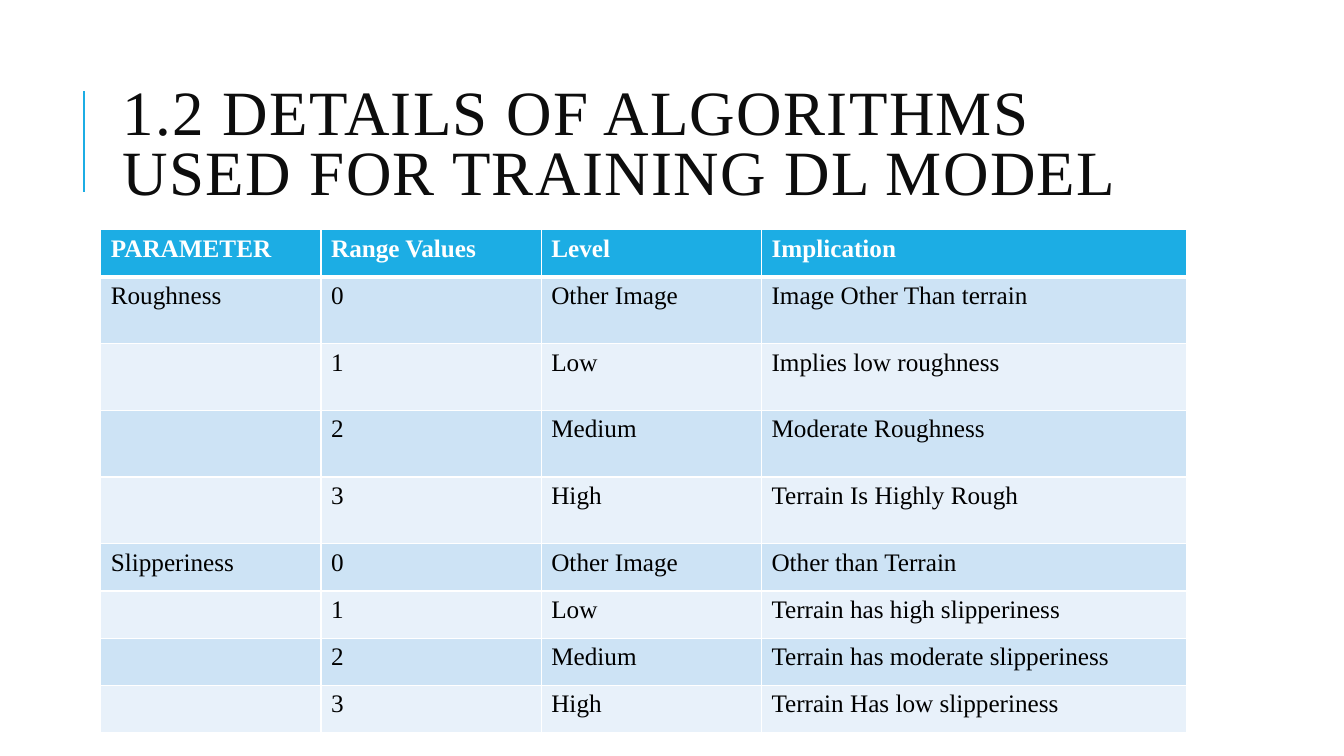
from dataclasses import dataclass

from lxml import etree
from pptx import Presentation
from pptx.dml.color import RGBColor
from pptx.enum.shapes import MSO_CONNECTOR
from pptx.enum.text import MSO_ANCHOR, MSO_AUTO_SIZE, PP_ALIGN
from pptx.oxml.ns import qn
from pptx.slide import Slide
from pptx.table import _Cell
from pptx.text.text import _Paragraph
from pptx.util import Cm, Pt

STRAIGHT = MSO_CONNECTOR.STRAIGHT
MIDDLE = MSO_ANCHOR.MIDDLE
NO_AUTOFIT = MSO_AUTO_SIZE.NONE
LEFT = PP_ALIGN.LEFT
TITLE_ONLY_LAYOUT = 5


@dataclass(frozen=True)
class Theme:
    font: str = "Times New Roman"
    accent: str = "1CADE4"
    band_dark: str = "CDE3F5"
    band_light: str = "E8F1FA"
    title_ink: str = "0D0D0D"
    body_ink: str = "000000"
    white: str = "FFFFFF"
    title_size: float = 45
    table_size: float = 18
    title_tracking: float = 1
    accent_width: float = 1.5
    grid_width: float = 1
    header_rule_width: float = 3


@dataclass(frozen=True)
class Level:
    name: str
    implication: str


@dataclass(frozen=True)
class Parameter:
    name: str
    row_height: float
    levels: tuple[Level, ...]


THEME = Theme()
TITLE = "1.2 DETAILS OF ALGORITHMS USED FOR TRAINING DL MODEL"
HEADINGS = ("PARAMETER", "Range Values", "Level", "Implication")
COLUMN_WIDTHS = (5.55, 5.55, 5.55, 10.72)
HEADER_HEIGHT = 1.19
PARAMETERS = (
    Parameter("Roughness", 1.68, (
        Level("Other Image", "Image Other Than terrain"),
        Level("Low", "Implies low roughness"),
        Level("Medium", "Moderate Roughness"),
        Level("High", "Terrain Is Highly Rough"),
    )),
    Parameter("Slipperiness", 1.19, (
        Level("Other Image", "Other than Terrain"),
        Level("Low", "Terrain has high slipperiness"),
        Level("Medium", "Terrain has moderate slipperiness"),
        Level("High", "Terrain Has low slipperiness"),
    )),
)


def style_paragraph(paragraph: _Paragraph, size: float, color: str, bold: bool = False) -> None:
    font = paragraph.font
    font.name = THEME.font
    font.size = Pt(size)
    font.bold = bold
    font.color.rgb = RGBColor.from_string(color)


def add_accent_line(slide: Slide) -> None:
    accent_line = slide.shapes.add_connector(STRAIGHT, Cm(2.11), Cm(4.83), Cm(2.11), Cm(2.29))
    accent_line.line.color.rgb = RGBColor.from_string(THEME.accent)
    accent_line.line.width = Pt(THEME.accent_width)
    etree.SubElement(accent_line._element.spPr, qn("a:effectLst"))


def fill_title(slide: Slide) -> None:
    title = slide.shapes.title
    title.left, title.top, title.width, title.height = Cm(2.84), Cm(1.63), Cm(27), Cm(4.17)
    frame = title.text_frame
    frame.text = TITLE
    frame.word_wrap = True
    frame.auto_size = NO_AUTOFIT
    frame.vertical_anchor = MIDDLE
    heading = frame.paragraphs[0]
    heading.alignment = LEFT
    heading.line_spacing = 0.8
    style_paragraph(heading, THEME.title_size, THEME.title_ink)
    tracking = str(round(THEME.title_tracking * 100))
    heading._p.find(".//" + qn("a:defRPr")).set("spc", tracking)


def set_borders(cell: _Cell, top: float, bottom: float) -> None:
    """Draw white borders; lines must precede the fill in the cell properties."""
    properties = cell._tc.get_or_add_tcPr()
    widths = {"lnL": THEME.grid_width, "lnR": THEME.grid_width, "lnT": top, "lnB": bottom}
    for position, (side, width) in enumerate(widths.items()):
        border = etree.Element(qn(f"a:{side}"), w=str(Pt(width)))
        fill = etree.SubElement(border, qn("a:solidFill"))
        etree.SubElement(fill, qn("a:srgbClr"), val=THEME.white)
        properties.insert(position, border)


def table_rows() -> list[tuple[float, tuple[str, ...]]]:
    """Pair each row's height with its texts, naming a parameter only once."""
    rows = [(HEADER_HEIGHT, HEADINGS)]
    for parameter in PARAMETERS:
        for value, level in enumerate(parameter.levels):
            name = parameter.name if value == 0 else ""
            rows.append((parameter.row_height, (name, str(value), level.name, level.implication)))
    return rows


def add_terrain_table(slide: Slide) -> None:
    rows = table_rows()
    table = slide.shapes.add_table(
        len(rows), len(HEADINGS), Cm(2.54), Cm(5.79),
        Cm(sum(COLUMN_WIDTHS)), Cm(sum(height for height, _ in rows)),
    ).table
    for column, width in zip(table.columns, COLUMN_WIDTHS):
        column.width = Cm(width)
    for row_index, (height, texts) in enumerate(rows):
        table.rows[row_index].height = Cm(height)
        is_header = row_index == 0
        band = THEME.band_dark if row_index % 2 else THEME.band_light
        background = THEME.accent if is_header else band
        ink = THEME.white if is_header else THEME.body_ink
        top = THEME.header_rule_width if row_index == 1 else THEME.grid_width
        bottom = THEME.header_rule_width if is_header else THEME.grid_width
        for cell, text in zip(table.rows[row_index].cells, texts):
            cell.text = text
            cell.fill.solid()
            cell.fill.fore_color.rgb = RGBColor.from_string(background)
            set_borders(cell, top, bottom)
            style_paragraph(cell.text_frame.paragraphs[0], THEME.table_size, ink, is_header)


def main() -> None:
    presentation = Presentation()
    presentation.slide_width, presentation.slide_height = Cm(33.87), Cm(19.05)
    slide = presentation.slides.add_slide(presentation.slide_layouts[TITLE_ONLY_LAYOUT])
    add_accent_line(slide)
    fill_title(slide)
    add_terrain_table(slide)
    presentation.save("out.pptx")


if __name__ == "__main__":
    main()
